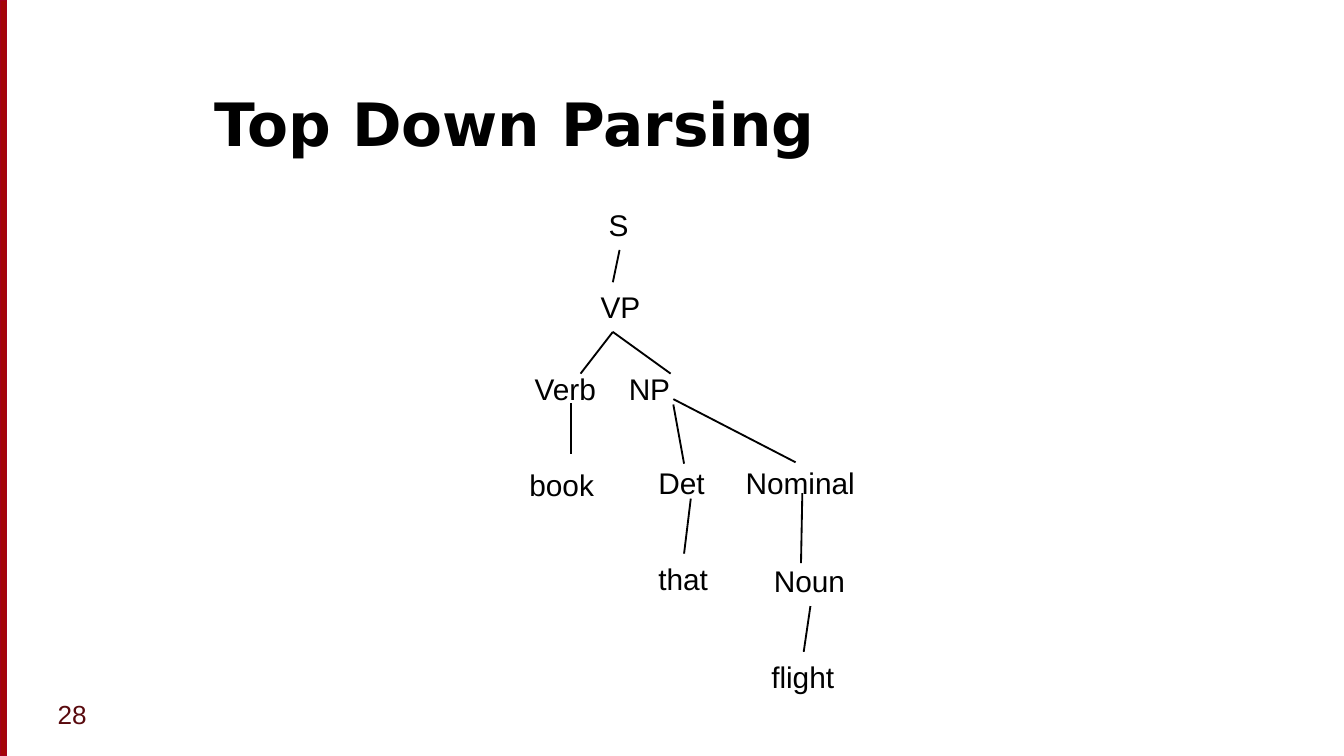
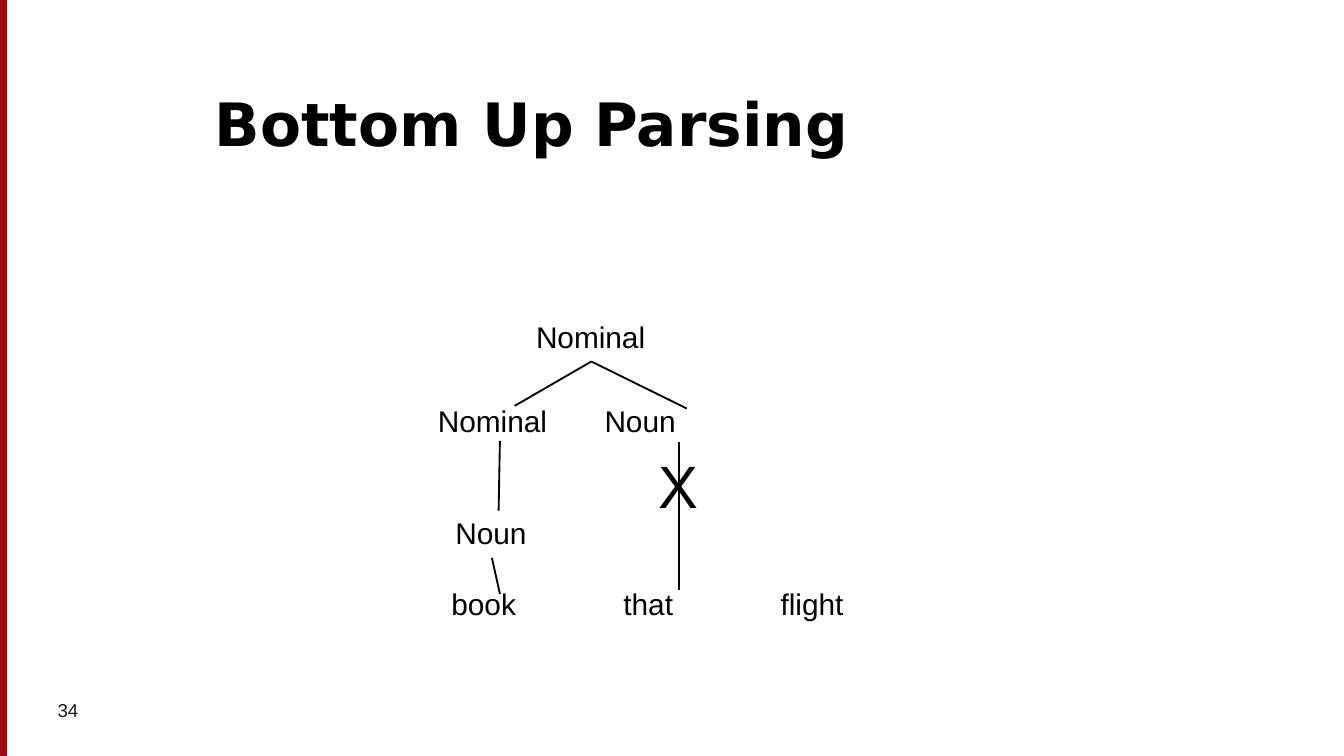
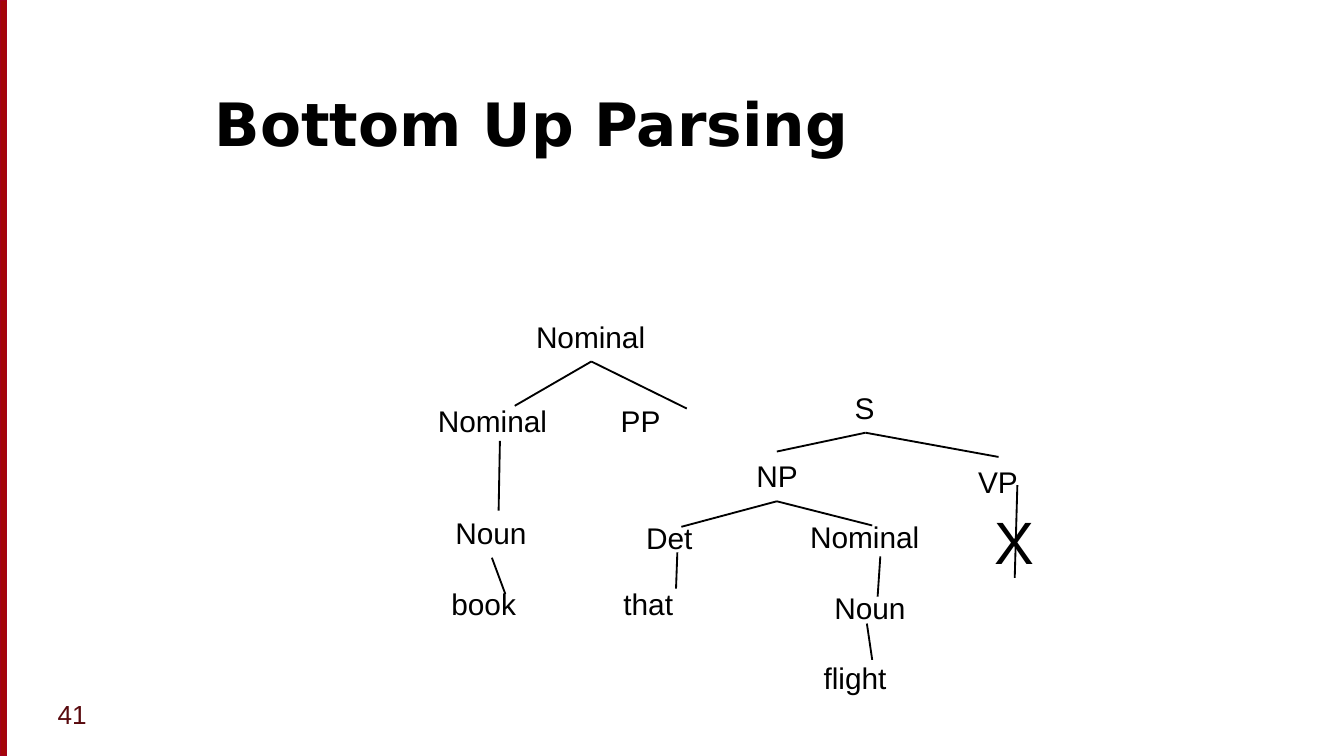
from pptx import Presentation
from pptx.dml.color import RGBColor
from pptx.enum.shapes import MSO_CONNECTOR, MSO_SHAPE
from pptx.enum.text import MSO_ANCHOR
from pptx.oxml.ns import qn
from pptx.util import Pt
from lxml import etree

EMU_PER_PX = 9144  # 100 px to the inch
WIDTH = 1000
RECT = MSO_SHAPE.RECTANGLE
STRAIGHT = MSO_CONNECTOR.STRAIGHT
TOP, BOTTOM = MSO_ANCHOR.TOP, MSO_ANCHOR.BOTTOM

COLORS = {
    "ink": "000000",
    "band": "A40508",
    "band_line": "A4001D",
    "number": "590A0E",
    "small_number": "181813",
}
TITLE_FONT, BODY_FONT = "DejaVu Sans", "Arial"
LABEL_HEIGHT = 37
LABEL_WIDTHS = {
    "S": 35, "VP": 50, "NP": 51, "PP": 52, "Verb": 67, "Det": 55, "Noun": 74,
    "Nominal": 103, "book": 69, "that": 58, "flight": 68,
}


def px(n):
    return n * EMU_PER_PX


def color(name):
    return RGBColor.from_string(COLORS[name])


class Deck:
    """Holds the presentation, its style and the slide being filled."""

    def __init__(self):
        self.prs = Presentation()
        self.prs.slide_width = px(WIDTH)
        self.prs.slide_height = px(WIDTH) * 9 // 16
        self.s = None

    def page(self, title, number, number_size=14, number_color="number"):
        """Start a slide with its side band, title and page number."""
        self.s = self.prs.slides.add_slide(self.prs.slide_layouts[6])
        self.band()
        self.text(title, 150, 42, 817, 81, size=32, font=TITLE_FONT,
                  bold=True, anchor=BOTTOM)
        self.text(number, 33, 515, 217, 38, size=number_size,
                  fill=number_color)

    def band(self):
        sp = self.s.shapes.add_shape(RECT, 0, 0, px(5), self.prs.slide_height)
        sp.shadow.inherit = False
        sp.fill.solid()
        sp.fill.fore_color.rgb = color("band")
        sp.line.color.rgb = color("band_line")
        sp.line.width = Pt(0.75)

    def text(self, words, x, y, w, h, size=16, font=BODY_FONT, fill="ink",
             bold=False, anchor=TOP, wrap=True):
        tf = self.s.shapes.add_textbox(px(x), px(y), px(w), px(h)).text_frame
        tf.word_wrap = wrap
        tf.vertical_anchor = anchor
        p = tf.paragraphs[0]
        p.text = words
        p.font.size, p.font.name, p.font.bold = Pt(size), font, bold
        p.font.color.rgb = color(fill)

    def labels(self, *nodes):
        """Place tree labels given as (word, left, top)."""
        for word, x, y in nodes:
            self.text(word, x, y, LABEL_WIDTHS[word], LABEL_HEIGHT, wrap=False)

    def branches(self, start, *ends):
        """Draw a line from one point to each of its children."""
        for end in ends:
            line = self.s.shapes.add_connector(
                STRAIGHT, *(px(n) for n in start + end))
            line.line.color.rgb = color("ink")
            line.line.width = Pt(1)
            etree.SubElement(line._element.spPr, qn("a:effectLst"))

    def dead_end(self, x, y, start, end):
        """Mark a failed branch with a large X over its line."""
        self.text("X", x, y, 50, 64, size=32, wrap=False)
        self.branches(start, end)


def top_down(deck):
    deck.page("Top Down Parsing", "28")
    deck.labels(
        ("S", 443, 149), ("VP", 437, 210),
        ("Verb", 388, 271), ("NP", 458, 271),
        ("book", 384, 342), ("Det", 480, 341), ("Nominal", 545, 341),
        ("that", 480, 412), ("Noun", 566, 414), ("flight", 564, 485))
    deck.branches((461, 186), (456, 210))
    deck.branches((456, 247), (432, 278), (499, 278))
    deck.branches((425, 300), (425, 338))
    deck.branches((501, 301), (509, 345))
    deck.branches((501, 297), (592, 344))
    deck.branches((514, 371), (509, 412))
    deck.branches((597, 367), (596, 419))
    deck.branches((603, 451), (598, 485))


def nominal_tree(deck, book_x):
    """Draw the left tree of both bottom-up slides."""
    deck.labels(("Nominal", 389, 232), ("Nominal", 316, 295),
                ("Noun", 329, 378), ("book", 326, 431), ("that", 454, 431))
    deck.branches((440, 269), (383, 302), (511, 304))
    deck.branches((372, 328), (371, 380))
    deck.branches((366, 415), (book_x, 442))


def bottom_up_noun(deck):
    deck.page("Bottom Up Parsing", "34", 10, "small_number")
    nominal_tree(deck, 372)
    deck.labels(("Noun", 440, 295), ("flight", 571, 431))
    deck.dead_end(480, 329, (505, 329), (505, 439))


def bottom_up_sentence(deck):
    deck.page("Bottom Up Parsing", "41")
    nominal_tree(deck, 376)
    deck.labels(
        ("PP", 452, 295), ("S", 626, 285), ("NP", 553, 336), ("VP", 718, 340),
        ("Det", 471, 382), ("Nominal", 593, 381),
        ("Noun", 611, 434), ("flight", 603, 486))
    deck.branches((644, 322), (578, 336), (743, 340))
    deck.branches((578, 373), (507, 392), (649, 391))
    deck.branches((504, 411), (503, 438))
    deck.branches((655, 414), (653, 444))
    deck.branches((645, 464), (649, 491))
    deck.dead_end(730, 371, (757, 361), (755, 430))


def main():
    deck = Deck()
    top_down(deck)
    bottom_up_noun(deck)
    bottom_up_sentence(deck)
    deck.prs.save("out.pptx")


if __name__ == "__main__":
    main()
